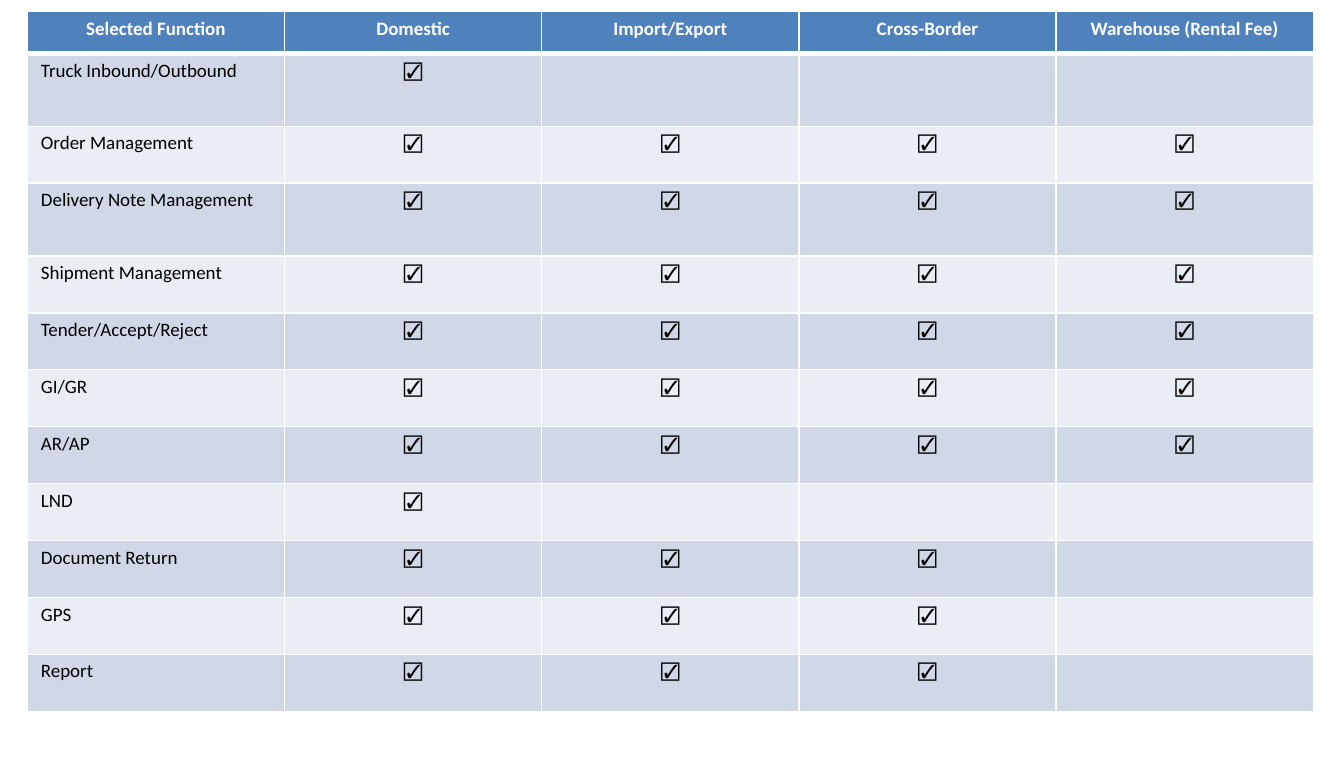
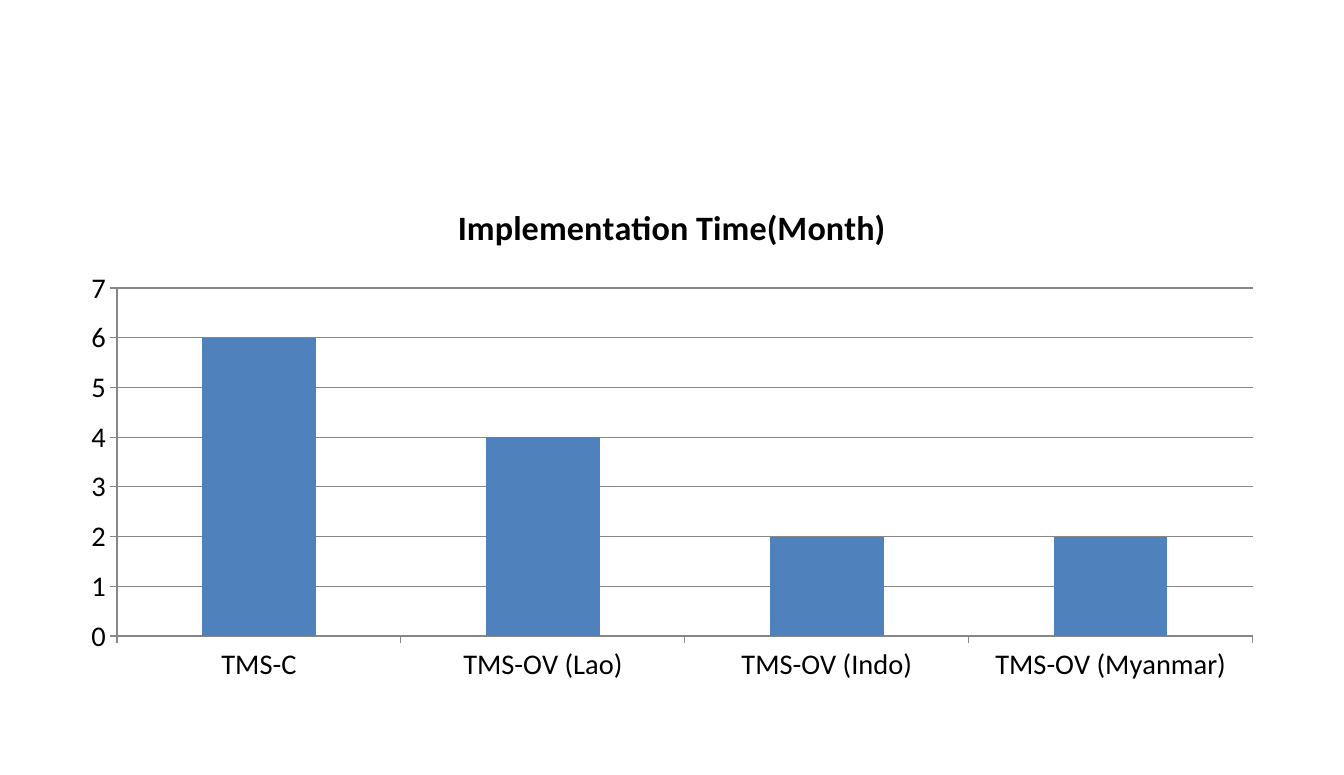
from dataclasses import dataclass

from lxml import etree
from pptx import Presentation
from pptx.chart.data import CategoryChartData
from pptx.dml.color import RGBColor
from pptx.enum.chart import XL_CHART_TYPE, XL_TICK_MARK
from pptx.enum.text import PP_ALIGN
from pptx.oxml.ns import qn
from pptx.slide import Slide
from pptx.util import Inches, Pt

COLUMN_CLUSTERED = XL_CHART_TYPE.COLUMN_CLUSTERED
TICK_OUTSIDE = XL_TICK_MARK.OUTSIDE
LEFT, CENTER = PP_ALIGN.LEFT, PP_ALIGN.CENTER

# Shared style
FONT = "Calibri"
BLUE, WHITE, BLACK, GRAY = "4F81BD", "FFFFFF", "000000", "878787"
BANDS = ("D0D8E8", "E9EDF4")
BLANK_LAYOUT = 6
CHECK = "☑"


@dataclass(frozen=True)
class FunctionRow:
    name: str
    checks: int  # number of leading service columns that are ticked
    height: float = 0.5


HEADERS = ("Selected Function", "Domestic", "Import/Export", "Cross-Border",
           "Warehouse (Rental Fee)")
FUNCTIONS = (
    FunctionRow("Truck Inbound/Outbound", 1, 0.64),
    FunctionRow("Order Management", 4),
    FunctionRow("Delivery Note Management", 4, 0.64),
    FunctionRow("Shipment Management", 4),
    FunctionRow("Tender/Accept/Reject", 4),
    FunctionRow("GI/GR", 4),
    FunctionRow("AR/AP", 4),
    FunctionRow("LND", 1),
    FunctionRow("Document Return", 3),
    FunctionRow("GPS", 3),
    FunctionRow("Report", 3),
)
HEADER_HEIGHT = 0.37
COLUMN_WIDTH = 2.26

CHART_TITLE = "Implementation Time(Month)"
MONTHS = {"TMS-C": 6, "TMS-OV (Lao)": 4, "TMS-OV (Indo)": 2, "TMS-OV (Myanmar)": 2}


def color(value: str) -> RGBColor:
    return RGBColor.from_string(value)


def style_font(font, size: float, value: str, bold: bool = False) -> None:
    font.name, font.size, font.bold = FONT, Pt(size), bold
    font.color.rgb = color(value)


def set_borders(cell, top: float, bottom: float) -> None:
    """Draw white borders; widths are in points."""
    properties = cell._tc.get_or_add_tcPr()
    widths = {"a:lnL": 1, "a:lnR": 1, "a:lnT": top, "a:lnB": bottom}
    for position, (tag, width) in enumerate(widths.items()):
        line = etree.Element(qn(tag), w=str(Pt(width)))
        fill = etree.SubElement(line, qn("a:solidFill"))
        etree.SubElement(fill, qn("a:srgbClr"), val=WHITE)
        properties.insert(position, line)


def fill_cell(cell, text: str, fill: str, text_color: str, alignment: PP_ALIGN,
              bold: bool = False) -> None:
    cell.margin_left = cell.margin_right = Inches(0.12)
    cell.margin_top = cell.margin_bottom = Inches(0.05)
    cell.fill.solid()
    cell.fill.fore_color.rgb = color(fill)
    if text:
        paragraph = cell.text_frame.paragraphs[0]
        paragraph.alignment = alignment
        run = paragraph.add_run()
        run.text = text
        style_font(run.font, 12, text_color, bold)


def add_function_table(slide: Slide) -> None:
    heights = [HEADER_HEIGHT] + [function.height for function in FUNCTIONS]
    table = slide.shapes.add_table(
        len(heights), len(HEADERS), Inches(0.24), Inches(0.1),
        Inches(COLUMN_WIDTH * len(HEADERS)), Inches(sum(heights))).table
    for column in table.columns:
        column.width = Inches(COLUMN_WIDTH)
    for row, height in zip(table.rows, heights):
        row.height = Inches(height)

    # Header row
    for column_index, header in enumerate(HEADERS):
        cell = table.cell(0, column_index)
        fill_cell(cell, header, BLUE, WHITE, CENTER, bold=True)
        set_borders(cell, top=1, bottom=3)

    # Banded function rows
    for row_index, function in enumerate(FUNCTIONS, start=1):
        band = BANDS[(row_index - 1) % len(BANDS)]
        for column_index in range(len(HEADERS)):
            cell = table.cell(row_index, column_index)
            if column_index == 0:
                fill_cell(cell, function.name, band, BLACK, LEFT)
            else:
                mark = CHECK if column_index <= function.checks else ""
                fill_cell(cell, mark, band, BLACK, CENTER)
            set_borders(cell, top=3 if row_index == 1 else 1, bottom=1)


def add_time_chart(slide: Slide) -> None:
    data = CategoryChartData(number_format="General")
    data.categories = list(MONTHS)
    data.add_series(CHART_TITLE, list(MONTHS.values()))
    chart = slide.shapes.add_chart(
        COLUMN_CLUSTERED, Inches(0.59), Inches(1.59), Inches(10.63), Inches(4.49),
        data).chart
    style_font(chart.font, 18, BLACK)
    chart.has_legend = False

    # Title
    chart.has_title = True
    run = chart.chart_title.text_frame.paragraphs[0].add_run()
    run.text = CHART_TITLE
    style_font(run.font, 21.6, BLACK, bold=True)
    chart.chart_title.include_in_layout = False

    # Columns
    plot = chart.plots[0]
    plot.gap_width = 150
    plot.vary_by_categories = False
    series_fill = plot.series[0].format.fill
    series_fill.solid()
    series_fill.fore_color.rgb = color(BLUE)

    # Axes and gridlines
    chart.value_axis.has_major_gridlines = True
    for axis in (chart.category_axis, chart.value_axis):
        axis.major_tick_mark = TICK_OUTSIDE
    for part in (chart.category_axis, chart.value_axis, chart.value_axis.major_gridlines):
        part.format.line.color.rgb = color(GRAY)
        part.format.line.width = Pt(0.75)


def main() -> None:
    presentation = Presentation()
    presentation.slide_width = Inches(11.81)
    presentation.slide_height = Inches(6.81)
    layout = presentation.slide_layouts[BLANK_LAYOUT]
    for draw in (add_function_table, add_time_chart):
        draw(presentation.slides.add_slide(layout))
    presentation.save("out.pptx")


if __name__ == "__main__":
    main()
